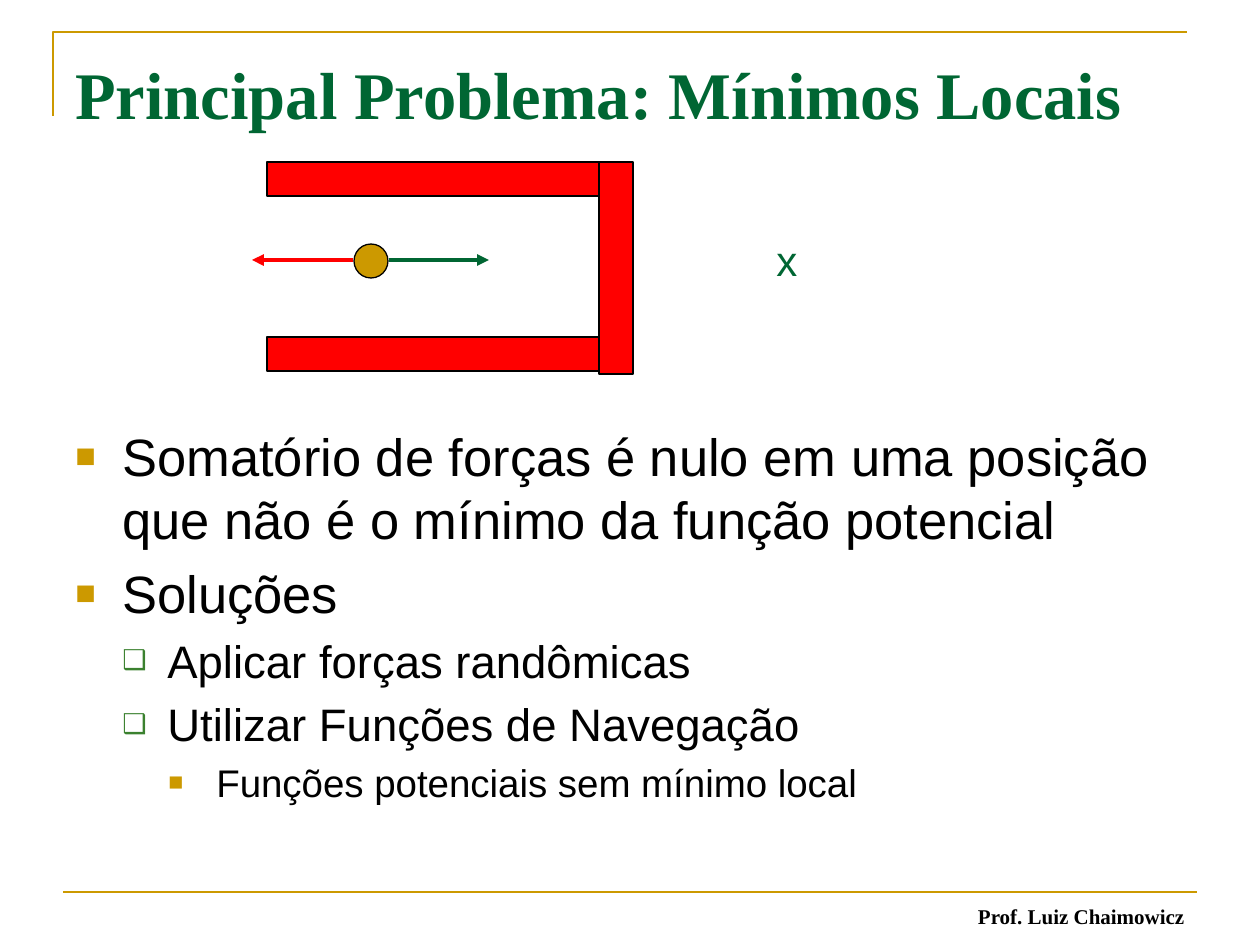
from dataclasses import dataclass

from lxml.etree import SubElement
from pptx import Presentation
from pptx.dml.color import RGBColor
from pptx.enum.shapes import MSO_CONNECTOR as CONN, MSO_SHAPE as SHAPE
from pptx.enum.text import MSO_ANCHOR as ANCHOR, MSO_AUTO_SIZE as AUTO, PP_ALIGN as ALIGN
from pptx.oxml.ns import qn
from pptx.util import Emu, Pt

SCALE = 914400 / 126


@dataclass(frozen=True)
class Theme:
    """Colours, fonts and type sizes of the slide."""
    gold: str = "CC9900"
    green: str = "006633"
    leaf: str = "3B812F"
    red: str = "FF0000"
    black: str = "000000"
    serif: str = "Times New Roman"
    sans: str = "Arial"
    title: int = 38
    goal: int = 24
    footer: int = 12
    levels: tuple = (30, 26, 22)


T = Theme()
# level: left margin, hanging indent, bullet, bullet colour, bullet size
BULLETS = (
    (47, 47, "■", T.gold, 65),
    (92, 45, "❑", T.leaf, 60),
    (141, 48, "■", T.gold, 65),
)
BODY = (
    (0, "Somatório de forças é nulo em uma posição que não é o mínimo da função potencial"),
    (0, "Soluções"),
    (1, "Aplicar forças randômicas"),
    (1, "Utilizar Funções de Navegação"),
    (2, "Funções potenciais sem mínimo local"),
)


def px(n):
    """Turn whole pixels into EMU."""
    return Emu(round(n * SCALE))


def rgb(color):
    """Turn a hex string into a colour."""
    return RGBColor.from_string(color)


def add_run(p, text, size, font, color, bold=False):
    """Append one formatted run to a paragraph."""
    r = p.add_run()
    r.text = text
    r.font.size, r.font.name, r.font.bold = Pt(size), font, bold
    r.font.color.rgb = rgb(color)


def add_box(s, box, anchor=ANCHOR.TOP, wrap=True):
    """Add an empty text box and return its text frame."""
    tf = s.shapes.add_textbox(*map(px, box)).text_frame
    tf.word_wrap, tf.vertical_anchor = wrap, anchor
    return tf


def add_solid(s, kind, box, color, rotation=0):
    """Add a filled preset shape with a thin black outline."""
    sp = s.shapes.add_shape(kind, *map(px, box))
    sp.rotation = rotation
    sp.shadow.inherit = False
    sp.fill.solid()
    sp.fill.fore_color.rgb = rgb(color)
    sp.line.color.rgb = rgb(T.black)
    sp.line.width = Pt(0.75)


def add_line(s, start, end, color, width, arrow=False):
    """Add a straight line, with an arrowhead at its end if wanted."""
    sp = s.shapes.add_connector(CONN.STRAIGHT, *map(px, start + end))
    sp.line.color.rgb = rgb(color)
    sp.line.width = Pt(width)
    if arrow:
        SubElement(sp.line._get_or_add_ln(), qn("a:tailEnd"), type="triangle")
    SubElement(sp._element.spPr, qn("a:effectLst"))


def add_corner(s, points, color, width):
    """Add an open outline through the given points."""
    start, *rest = [tuple(map(px, pt)) for pt in points]
    fb = s.shapes.build_freeform(*start)
    fb.add_line_segments(rest, close=False)
    sp = fb.convert_to_shape()
    sp.shadow.inherit = False
    sp.fill.background()
    sp.line.color.rgb = rgb(color)
    sp.line.width = Pt(width)


def set_bullet(p, level):
    """Give a paragraph the indent and bullet of its level."""
    margin, hang, char, color, size = BULLETS[level]
    p.level = level
    pPr = p._p.get_or_add_pPr()
    pPr.set("marL", str(px(margin)))
    pPr.set("indent", str(-px(hang)))
    SubElement(SubElement(pPr, qn("a:buClr")), qn("a:srgbClr"), val=color)
    SubElement(pPr, qn("a:buSzPct"), val=str(size * 1000))
    SubElement(pPr, qn("a:buFont"), typeface=T.sans)
    SubElement(pPr, qn("a:buChar"), char=char)


def add_bullets(s, box, items):
    """Add the multi-level bullet list."""
    tf = add_box(s, box)
    for i, (level, text) in enumerate(items):
        p = tf.add_paragraph() if i else tf.paragraphs[0]
        size = T.levels[level]
        p.space_before = Pt(size * 0.2)
        set_bullet(p, level)
        add_run(p, text, size, T.sans, T.black)


def add_frame(s):
    """Add the corner, the bottom rule and the author line."""
    add_corner(s, ((53, 116), (53, 32), (1187, 32)), T.gold, 1.5)
    add_line(s, (63, 892), (1197, 892), T.gold, 1.5)
    p = add_box(s, (903, 903, 294, 32), ANCHOR.BOTTOM).paragraphs[0]
    p.alignment = ALIGN.RIGHT
    add_run(p, "Prof. Luiz Chaimowicz", T.footer, T.serif, T.black, True)


def add_diagram(s):
    """Add the U-shaped obstacle, the robot, its two forces and the goal."""
    for top in (162, 337):
        add_solid(s, SHAPE.RECTANGLE, (267, top, 364, 34), T.red)
    add_solid(s, SHAPE.RECTANGLE, (510, 251, 212, 34), T.red, 270)
    tf = add_box(s, (764, 228, 47, 63), wrap=False)
    tf.auto_size = AUTO.SHAPE_TO_FIT_TEXT
    add_run(tf.paragraphs[0], "x", T.goal, T.sans, T.green)
    add_solid(s, SHAPE.OVAL, (354, 244, 34, 34), T.gold)
    for start, end, color in ((389, 489, T.green), (353, 252, T.red)):
        add_line(s, (start, 260), (end, 260), color, 2.25, arrow=True)


def main():
    """Build the slide and save it."""
    prs = Presentation()
    prs.slide_width, prs.slide_height = px(1260), px(945)
    s = prs.slides.add_slide(prs.slide_layouts[6])
    add_frame(s)
    tf = add_box(s, (63, 38, 1134, 120))
    tf.margin_top = px(15)
    add_run(tf.paragraphs[0], "Principal Problema: Mínimos Locais", T.title, T.serif, T.green, True)
    add_bullets(s, (63, 418, 1134, 452), BODY)
    add_diagram(s)
    prs.save("out.pptx")


if __name__ == "__main__":
    main()
